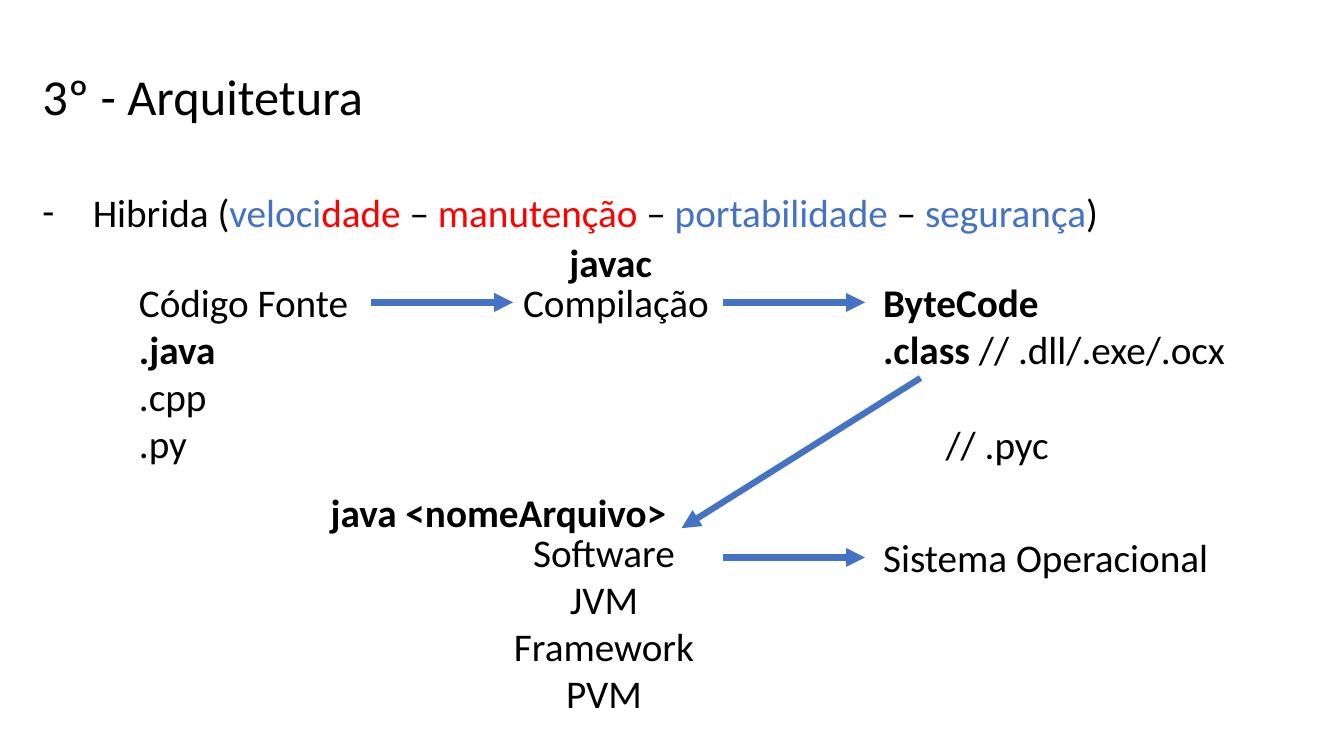
from lxml.etree import SubElement
from pptx import Presentation
from pptx.dml.color import RGBColor as RGB
from pptx.enum.shapes import MSO_CONNECTOR as Connector
from pptx.enum.text import MSO_ANCHOR as Anchor
from pptx.enum.text import MSO_AUTO_SIZE as AutoSize
from pptx.enum.text import PP_ALIGN as Align
from pptx.oxml.ns import qn
from pptx.util import Pt

PX = 9144
COLORS = {"black": "000000", "blue": "4472C4", "red": "FF0000"}


def write(paragraph, text, size=28, bold=False, color="black", font="Calibri"):
    run = paragraph.add_run()
    run.text = text
    run.font.name = font
    run.font.size = Pt(size)
    run.font.bold = bold
    run.font.color.rgb = RGB.from_string(COLORS[color])


class ArchitectureSlide:
    """Places the headings, labels and arrows of one slide, measured in px."""

    def __init__(self, deck):
        self.slide = deck.slides.add_slide(deck.slide_layouts[1])
        self.shapes = self.slide.shapes

    def placeholder(self, index, box):
        holder = self.slide.placeholders[index]
        holder.left, holder.top, holder.width, holder.height = (n * PX for n in box)
        frame = holder.text_frame
        frame.auto_size = AutoSize.NONE
        frame.vertical_anchor = Anchor.TOP
        paragraph = frame.paragraphs[0]
        paragraph.alignment = Align.LEFT
        paragraph.space_before = Pt(0)
        return paragraph

    def title(self, text, box):
        write(self.placeholder(0, box), text, size=36)

    def dash_item(self, parts, box, indent=50):
        paragraph = self.placeholder(1, box)
        props = paragraph._p.get_or_add_pPr()
        props.set("marL", str(indent * PX))
        props.set("indent", str(-indent * PX))
        SubElement(props, qn("a:buFont")).set("typeface", "Calibri")
        SubElement(props, qn("a:buChar")).set("char", "-")
        for text, color in parts:
            write(paragraph, text, color=color)

    def label(self, lines, box, align=Align.LEFT):
        holder = self.shapes.add_textbox(*(n * PX for n in box))
        frame = holder.text_frame
        frame.word_wrap = True
        frame.auto_size = AutoSize.SHAPE_TO_FIT_TEXT
        for number, runs in enumerate(lines):
            paragraph = frame.add_paragraph() if number else frame.paragraphs[0]
            paragraph.alignment = align
            for text, bold in runs:
                write(paragraph, text, bold=bold)
        return holder

    def arrow(self, start, end, target=None):
        link = self.shapes.add_connector(
            Connector.STRAIGHT, *(n * PX for n in start + end))
        if target is not None:
            link.end_connect(target, 1)
        link.line.color.rgb = RGB.from_string(COLORS["blue"])
        link.line.width = Pt(4.5)
        SubElement(link.line._get_or_add_ln(), qn("a:tailEnd")).set("type", "triangle")
        SubElement(link._element.spPr, qn("a:effectLst"))


def main():
    deck = Presentation()
    deck.slide_width, deck.slide_height = 1333 * PX, 750 * PX
    page = ArchitectureSlide(deck)

    page.title("3º - Arquitetura", (32, 60, 1203, 72))
    page.dash_item([
        ("Hibrida (", "black"), ("veloci", "blue"), ("dade", "red"),
        (" – ", "black"), ("manutenção ", "red"), ("– ", "black"),
        ("portabilidade ", "blue"), ("– ", "black"), ("segurança", "blue"),
        (")", "black"),
    ], (32, 182, 1203, 58))

    page.label([[("Código Fonte", False)], [(".java", True)],
                [(".cpp", False)], [(".py", False)]], (128, 271, 264, 199))
    compilation = page.label([[("Compilação", False)]], (509, 271, 264, 58))
    bytecode = page.label([
        [("ByteCode", True)],
        [(".class ", True), ("// .dll/.exe/.ocx", False)],
        [("// .pyc", False)],
    ], (866, 271, 369, 199))
    python_line = bytecode.text_frame.paragraphs[2]
    python_line.space_before = Pt(34)
    python_line._p.get_or_add_pPr().set("marL", str(62 * PX))

    page.label([[(name, False)] for name in ("Software", "JVM", "Framework", "PVM")],
               (467, 519, 264, 199), align=Align.CENTER)
    page.label([[("Sistema Operacional", False)]], (866, 524, 435, 58))
    page.label([[("javac", True)]], (555, 231, 264, 58))
    page.label([[("java <nomeArquivo>", True)]], (318, 479, 382, 58))

    page.arrow((368, 300), (509, 300), target=compilation)
    page.arrow((717, 300), (858, 300))
    page.arrow((913, 375), (676, 524))
    page.arrow((717, 553), (858, 553))

    deck.save("out.pptx")


if __name__ == "__main__":
    main()
